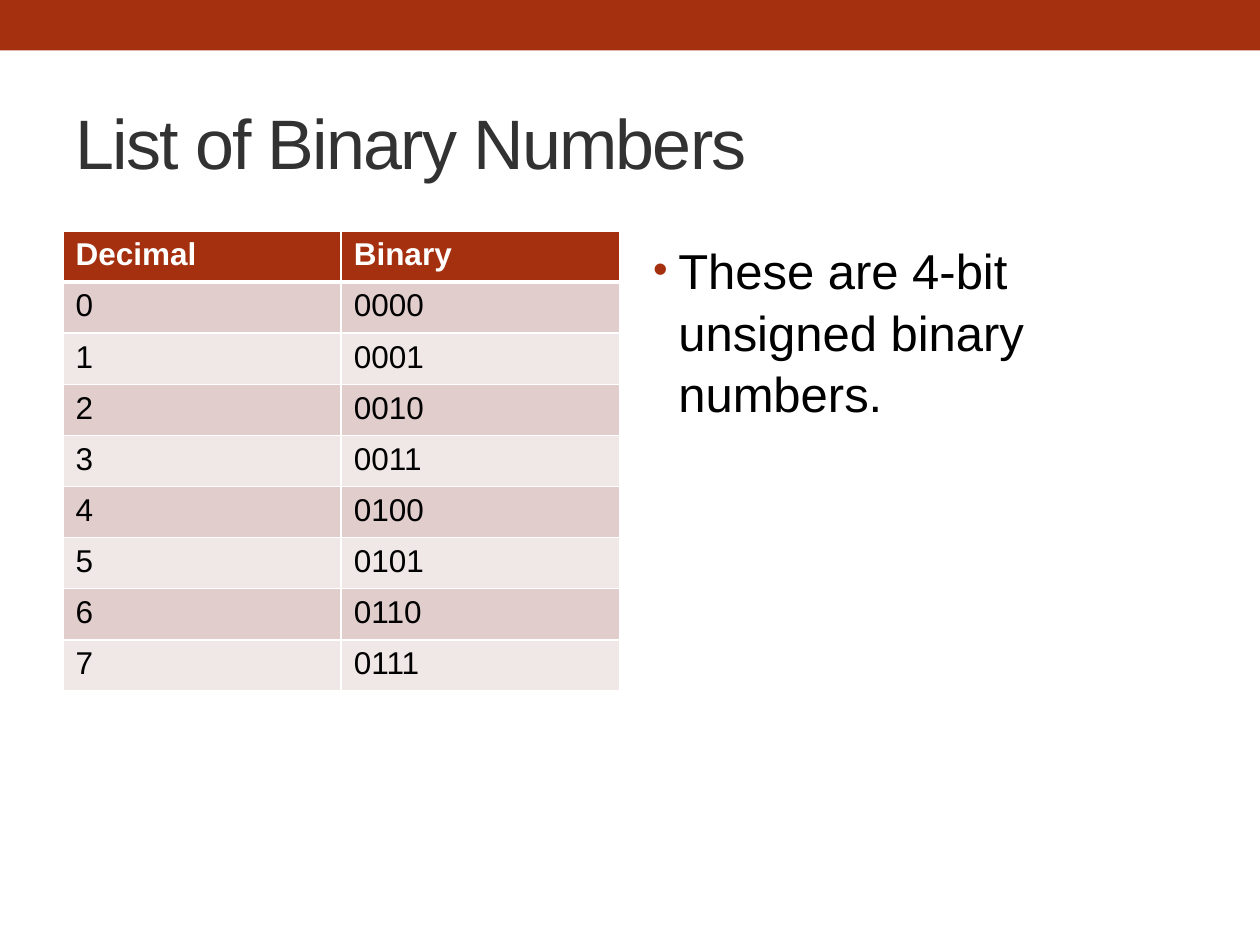
from lxml import etree
from pptx import Presentation
from pptx.dml import color
from pptx.enum import shapes, text
from pptx.oxml import ns
from pptx.util import Pt

RUST, WHITE, BLACK, CHARCOAL = "A5300F", "FFFFFF", "000000", "323232"
BANDS = ("E1CDCC", "F0E8E7")


def rgb(value):
    return color.RGBColor.from_string(value)


def apply(target, values):
    for name, value in values.items():
        setattr(target, name, value)


def place(item, box):
    apply(item, dict(zip(("left", "top", "width", "height"), map(Pt, box))))


def add_node(parent, tag, **attributes):
    return etree.SubElement(parent, ns.qn(tag), attributes)


def write(para, words, size, tint, bold=False):
    span = para.add_run()
    span.text = words
    apply(span.font, {"name": "Arial", "size": Pt(size), "bold": bold})
    span.font.color.rgb = rgb(tint)
    return span


def add_banner(page, box):
    banner = page.shapes.add_shape(shapes.MSO_SHAPE.RECTANGLE, *map(Pt, box))
    banner.shadow.inherit = False
    banner.fill.solid()
    banner.fill.fore_color.rgb = rgb(RUST)
    banner.line.fill.background()


def fill_title(title, box, words):
    place(title, box)
    apply(title.text_frame, {
        "word_wrap": True,
        "auto_size": text.MSO_AUTO_SIZE.NONE,
        "vertical_anchor": text.MSO_ANCHOR.MIDDLE,
    })
    para = title.text_frame.paragraphs[0]
    para.alignment = text.PP_ALIGN.LEFT
    span = write(para, words, 40, CHARCOAL)
    span.font._element.set("spc", "-100")


def fill_list(body, box, items):
    place(body, box)
    frame = body.text_frame
    apply(frame, {"word_wrap": True, "auto_size": text.MSO_AUTO_SIZE.NONE})
    for index, words in enumerate(items):
        para = frame.add_paragraph() if index else frame.paragraphs[0]
        apply(para, {"space_before": Pt(5.6), "line_spacing": 1.05,
                     "alignment": text.PP_ALIGN.LEFT})
        settings = para._p.get_or_add_pPr()
        settings.set("marL", str(Pt(14.4)))
        settings.set("indent", str(-Pt(14.4)))
        add_node(add_node(settings, "a:buClr"), "a:srgbClr", val=RUST)
        add_node(settings, "a:buSzPct", val="85000")
        add_node(settings, "a:buFont", typeface="Arial")
        add_node(settings, "a:buChar", char="•")
        write(para, words, 28, BLACK)


def add_borders(cell, widths):
    settings = cell._tc.get_or_add_tcPr()
    for side, width in zip("LRTB", widths):
        line = add_node(settings, f"a:ln{side}", w=str(Pt(width)))
        add_node(add_node(line, "a:solidFill"), "a:srgbClr", val=WHITE)


def add_number_table(page, box, rows):
    table = page.shapes.add_table(len(rows), len(rows[0]), *map(Pt, box)).table
    table.horz_banding = False
    for column in table.columns:
        column.width = Pt(box[2] / len(rows[0]))
    for index, values in enumerate(rows):
        table.rows[index].height = Pt(box[3] / len(rows))
        header = index == 0
        for position, words in enumerate(values):
            cell = table.cell(index, position)
            add_borders(cell, (1, 1, 3 if index == 1 else 1, 3 if header else 1))
            cell.fill.solid()
            cell.fill.fore_color.rgb = rgb(RUST if header else BANDS[(index - 1) % 2])
            write(cell.text_frame.paragraphs[0], words, 18,
                  WHITE if header else BLACK, header)


def main():
    deck = Presentation()
    apply(deck, {"slide_width": Pt(720), "slide_height": Pt(540)})
    page = deck.slides.add_slide(deck.slide_layouts[1])
    numbers = [(str(number), f"{number:04b}") for number in range(8)]
    add_banner(page, (0, 0, 720, 28.8))
    fill_title(page.shapes.title, (36, 42, 648, 78), "List of Binary Numbers")
    add_number_table(page, (36, 132, 318, 262.8), [("Decimal", "Binary")] + numbers)
    fill_list(page.placeholders[1], (366, 132, 318, 371.5),
              ["These are 4-bit unsigned binary numbers."])
    deck.save("out.pptx")


if __name__ == "__main__":
    main()
